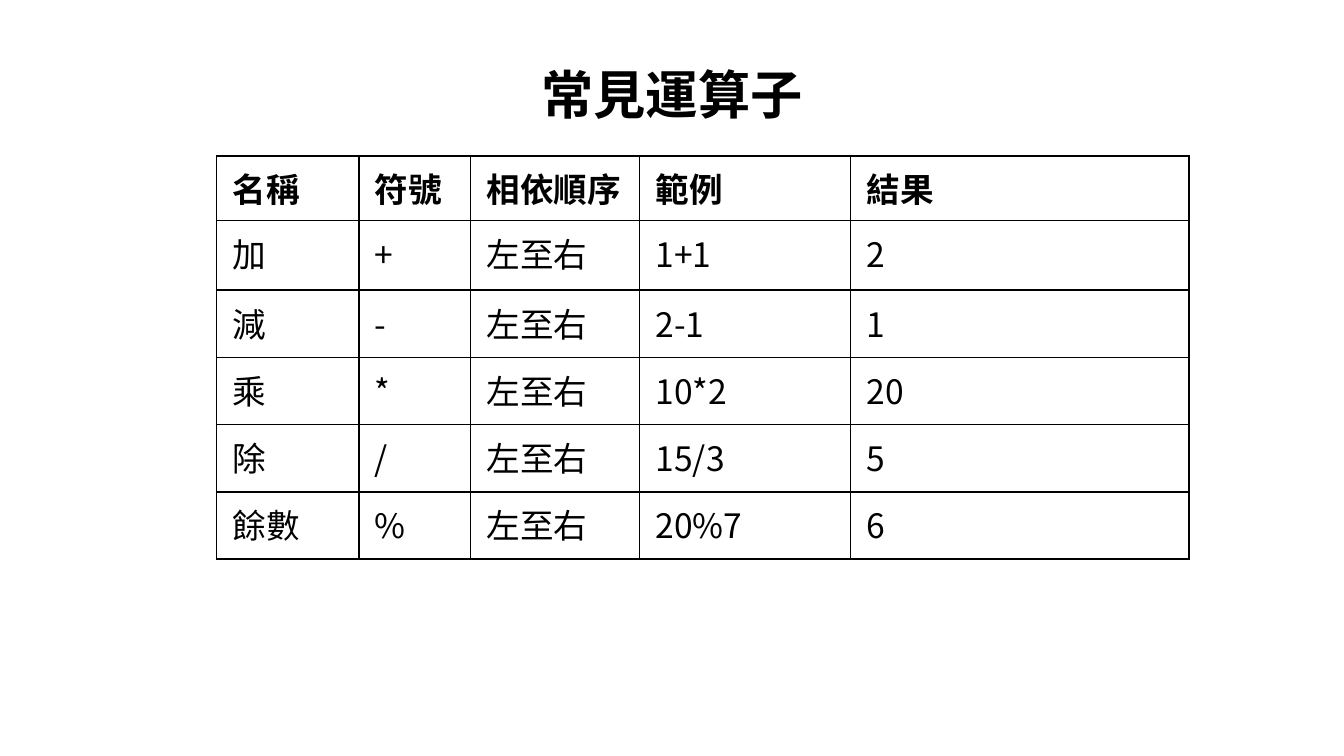
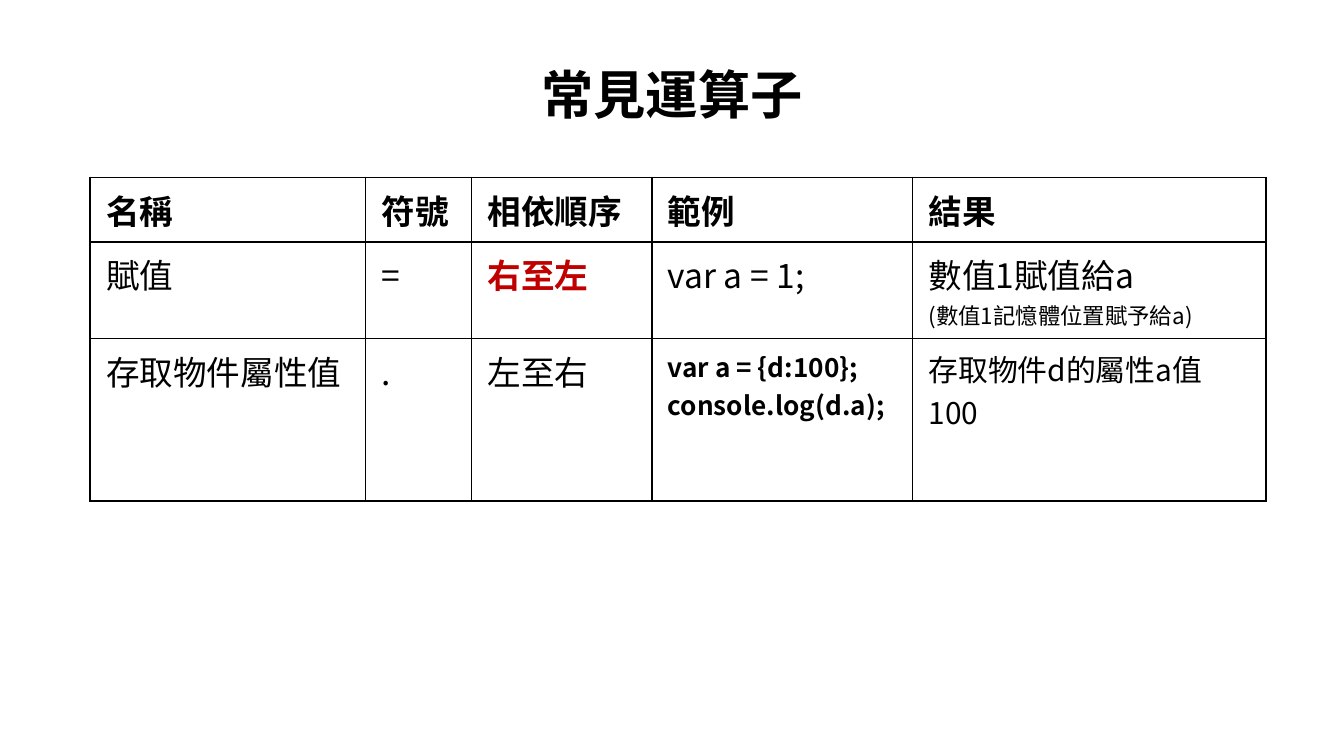
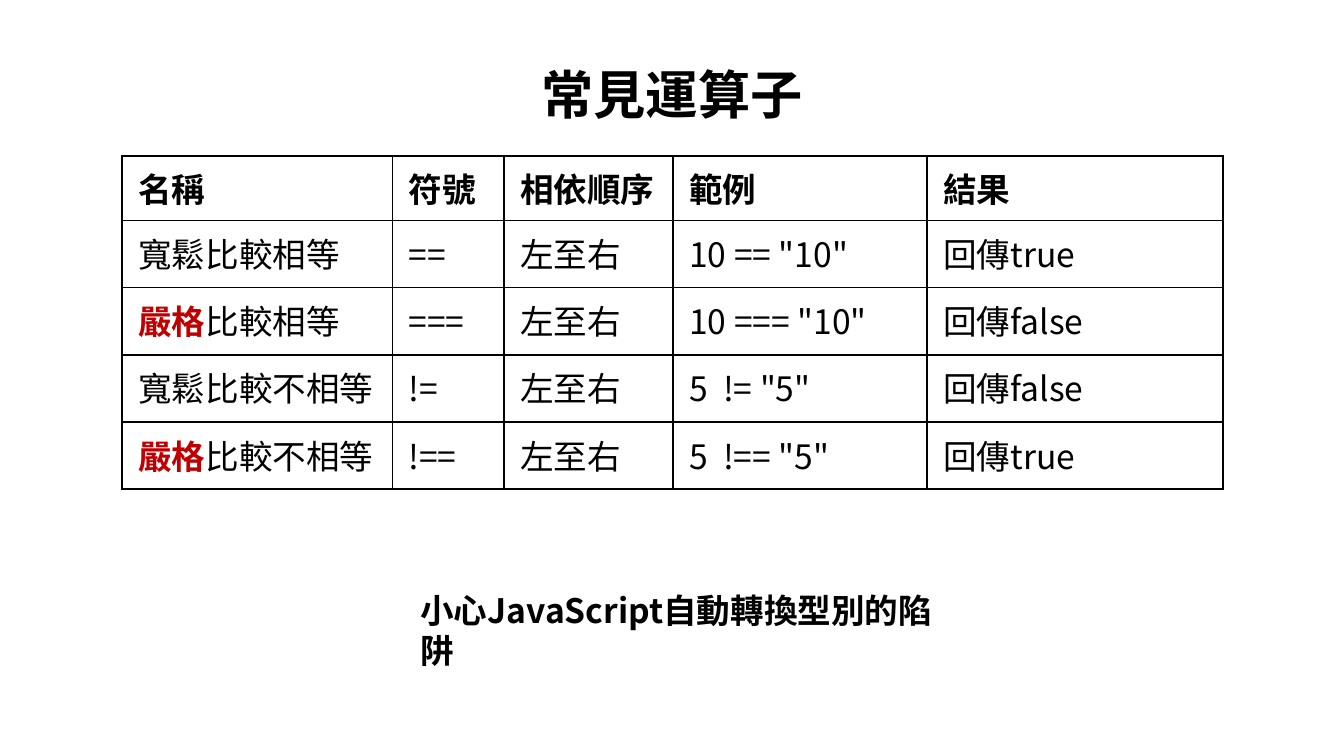
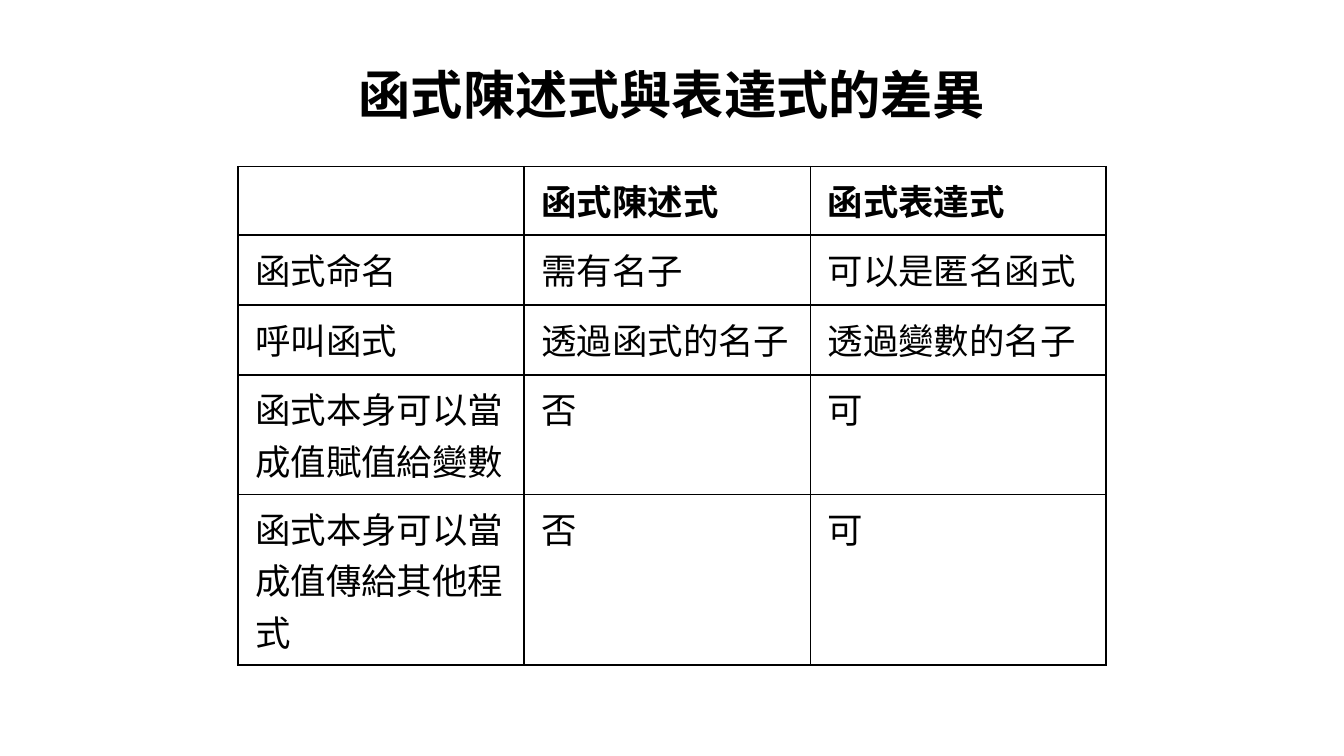
import pptx
import pptx.dml.color
import pptx.enum.text
import pptx.oxml.ns
import pptx.util
from lxml import etree
from pptx.util import Inches

FONT = "Noto Sans CJK SC"
COLORS = {"ink": "000000", "paper": "FFFFFF", "accent": "C00000"}
BASE = {"name": FONT, "size": 18, "bold": False, "color": "ink"}
HEADING = {"bold": True}
WARNING = {"bold": True, "color": "accent"}
OPERATOR_HEADER = ["名稱", "符號", "相依順序", "範例", "結果"]
LTR = "左至右"
OPERATOR_TITLE = "常見運算子"


def rgb(color):
    return pptx.dml.color.RGBColor.from_string(COLORS[color])


def add_run(paragraph, text, **changes):
    run = paragraph.add_run()
    run.text = text
    values = {**BASE, **changes}
    run.font.color.rgb = rgb(values.pop("color"))
    values["size"] = pptx.util.Pt(values["size"])
    for attribute, value in values.items():
        setattr(run.font, attribute, value)
    east_asian = etree.SubElement(run.font._element, pptx.oxml.ns.qn("a:ea"))
    east_asian.set("typeface", FONT)


def write(frame, content, **style):
    """Write a string, or a list of paragraphs that are lists of (text, format) runs."""
    if isinstance(content, str):
        content = [[(content, {})]] if content else []
    for index, runs in enumerate(content):
        paragraph = frame.add_paragraph() if index else frame.paragraphs[0]
        for text, changes in runs:
            add_run(paragraph, text, **{**style, **changes})


def add_label(slide, text, box, **style):
    label = slide.shapes.add_textbox(*map(Inches, box)).text_frame
    label.word_wrap = True
    write(label, text, **style)
    return label


def add_title(slide, text):
    title = add_label(slide, text, (0.5, 0.23, 9, 0.94), size=28, **HEADING)
    title.vertical_anchor = pptx.enum.text.MSO_ANCHOR.MIDDLE
    title.paragraphs[0].alignment = pptx.enum.text.PP_ALIGN.CENTER


def set_borders(cell):
    properties = cell._tc.get_or_add_tcPr()
    for index, side in enumerate(("lnL", "lnR", "lnT", "lnB")):
        border = etree.Element(pptx.oxml.ns.qn(f"a:{side}"), w=str(pptx.util.Pt(1)))
        fill = etree.SubElement(border, pptx.oxml.ns.qn("a:solidFill"))
        etree.SubElement(fill, pptx.oxml.ns.qn("a:srgbClr"), val=COLORS["ink"])
        properties.insert(index, border)


def add_grid(slide, corner, widths, heights, rows, size=18, side_margin=0.12):
    """Draw a ruled table whose first row is the bold header."""
    extent = (sum(widths), sum(heights))
    table = slide.shapes.add_table(
        len(rows), len(widths), *map(Inches, (*corner, *extent))).table
    table.first_row = table.horz_banding = False
    for column, width in zip(table.columns, widths):
        column.width = Inches(width)
    margins = {"margin_left": side_margin, "margin_right": side_margin,
               "margin_top": 0.06, "margin_bottom": 0.06}
    for r, (height, contents) in enumerate(zip(heights, rows)):
        table.rows[r].height = Inches(height)
        for c, content in enumerate(contents):
            cell = table.cell(r, c)
            for attribute, value in margins.items():
                setattr(cell, attribute, Inches(value))
            cell.fill.solid()
            cell.fill.fore_color.rgb = rgb("paper")
            set_borders(cell)
            write(cell.text_frame, content, size=size, bold=r == 0)


def add_page(deck, title):
    slide = deck.slides.add_slide(deck.slide_layouts[6])
    add_title(slide, title)
    return slide


def add_arithmetic(deck):
    operations = [("加", "+", "1+1", "2"), ("減", "-", "2-1", "1"),
                  ("乘", "*", "10*2", "20"), ("除", "/", "15/3", "5"),
                  ("餘數", "%", "20%7", "6")]
    rows = [(name, symbol, LTR, example, result)
            for name, symbol, example, result in operations]
    add_grid(add_page(deck, OPERATOR_TITLE), (1.61, 1.16),
             [1.06, 0.83, 1.26, 1.57, 2.52], [0.48, 0.52] + [0.5] * 4,
             [OPERATOR_HEADER, *rows])


def add_assignment(deck):
    code = {"size": 14, "bold": True}
    rows = [
        ("賦值", "=", [[("右至左", WARNING)]], "var a = 1;",
         [[("數值1賦值給a", {})], [("(數值1記憶體位置賦予給a)", {"size": 12})]]),
        ("存取物件屬性值", ".", LTR,
         [[("var a = {d:100};", code)], [("console.log(d.a);", code)]],
         [[("存取物件d的屬性a值100", {"size": 16})]]),
    ]
    add_grid(add_page(deck, OPERATOR_TITLE), (0.67, 1.32),
             [2.05, 0.79, 1.34, 1.94, 2.63], [0.48, 0.72, 1.21],
             [OPERATOR_HEADER, *rows])


def add_comparison(deck):
    def strict(rest):
        return [[("嚴格", WARNING), (rest, {})]]

    comparisons = [("寬鬆比較相等", "==", '10 == "10"', "true"),
                   (strict("比較相等"), "===", '10 === "10"', "false"),
                   ("寬鬆比較不相等", "!=", '5  != "5"', "false"),
                   (strict("比較不相等"), "!==", '5  !== "5"', "true")]
    rows = [(name, symbol, LTR, example, f"回傳{result}")
            for name, symbol, example, result in comparisons]
    slide = add_page(deck, OPERATOR_TITLE)
    add_grid(slide, (0.91, 1.16), [2.01, 0.83, 1.26, 1.89, 2.2],
             [0.48] + [0.5] * 4, [OPERATOR_HEADER, *rows])
    add_label(slide, "小心JavaScript自動轉換型別的陷阱", (3.03, 4.34, 4.2, 0.4), **HEADING)


def add_function_forms(deck):
    rows = [("", "函式陳述式", "函式表達式"),
            ("函式命名", "需有名子", "可以是匿名函式"),
            ("呼叫函式", "透過函式的名子", "透過變數的名子"),
            ("函式本身可以當成值賦值給變數", "否", "可"),
            ("函式本身可以當成值傳給其他程式", "否", "可")]
    add_grid(add_page(deck, "函式陳述式與表達式的差異"), (1.77, 1.24),
             [2.13, 2.13, 2.2], [0.51, 0.52, 0.52, 0.89, 1.27], rows,
             size=19, side_margin=0.13)


def main():
    deck = pptx.Presentation()
    deck.slide_width = Inches(10)
    deck.slide_height = deck.slide_width * 9 // 16
    add_arithmetic(deck)
    add_assignment(deck)
    add_comparison(deck)
    add_function_forms(deck)
    deck.save("out.pptx")


if __name__ == "__main__":
    main()
